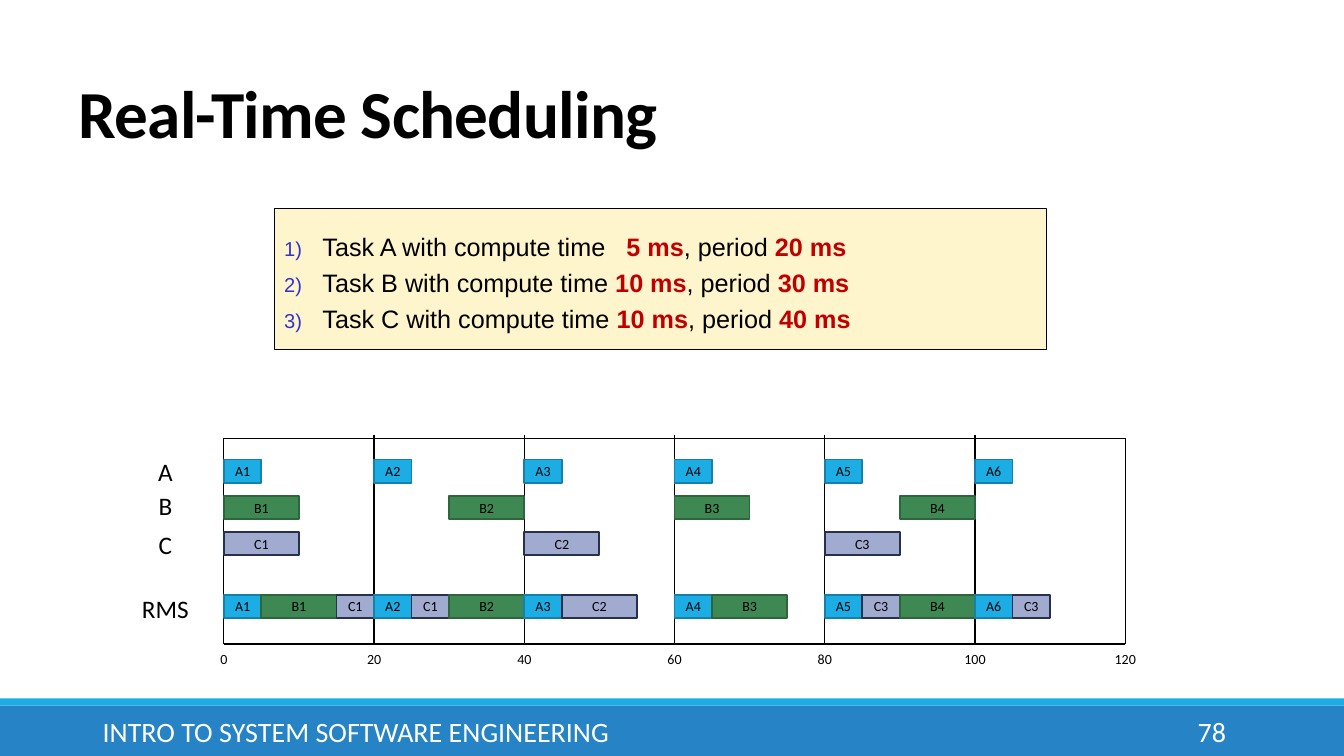
import pptx
import pptx.util
import pptx.dml.color
import pptx.enum.shapes
import pptx.enum.text
import pptx.oxml.ns
import lxml.etree

Inches = pptx.util.Inches
Pt = pptx.util.Pt
ALIGN = pptx.enum.text.PP_ALIGN
ANCHOR = pptx.enum.text.MSO_ANCHOR

COLORS = {
    "black": "000000", "white": "FFFFFF", "footer": "2683C6", "stripe": "1CADE4",
    "panel": "FFF5CC", "number": "3333CC", "accent": "C00000",
    "A": "1CADE4", "A edge": "1580A9",
    "B": "3E8853", "B edge": "2E653D",
    "C": "A1ABD0", "C edge": "27304E",
}
ORIGIN, PER_MS = 2.22, 0.0745
CHART_TOP, CHART_BOTTOM = 4.35, 6.39
END_MS, TICK_MS = 120, 20
BAR_HEIGHT, RMS_TOP = 0.23, 5.9
TASKS = {
    "A": {"compute": 5, "period": 20, "top": 4.56, "label": 4.48},
    "B": {"compute": 10, "period": 30, "top": 4.92, "label": 4.82},
    "C": {"compute": 10, "period": 40, "top": 5.28, "label": 5.2},
}
RMS_RUNS = [
    ("A1", 0, 5), ("B1", 5, 10), ("C1", 15, 5), ("A2", 20, 5), ("C1", 25, 5),
    ("B2", 30, 10), ("A3", 40, 5), ("C2", 45, 10), ("A4", 60, 5), ("B3", 65, 10),
    ("A5", 80, 5), ("C3", 85, 5), ("B4", 90, 10), ("A6", 100, 5), ("C3", 105, 5),
]


class SlideWriter:
    """Draws styled elements on the current slide."""

    def __init__(self, page, font="Calibri"):
        self.page = page
        self.font = font

    def color(self, name):
        return pptx.dml.color.RGBColor.from_string(COLORS[name])

    def run(self, para, words, size, color="black", bold=False, font=None, spacing=0):
        span = para.add_run()
        span.text = words
        span.font.name = font or self.font
        span.font.size = Pt(size)
        span.font.bold = bold
        span.font.color.rgb = self.color(color)
        if spacing:
            span._r.get_or_add_rPr().set("spc", str(spacing))

    def text(self, left, top, width, height, words, size, color="black", bold=False,
             align=ALIGN.LEFT, anchor=ANCHOR.TOP, wrap=True, line_spacing=None, spacing=0):
        box = self.page.shapes.add_textbox(
            Inches(left), Inches(top), Inches(width), Inches(height))
        box.text_frame.word_wrap = wrap
        box.text_frame.vertical_anchor = anchor
        para = box.text_frame.paragraphs[0]
        para.alignment = align
        if line_spacing:
            para.line_spacing = line_spacing
        self.run(para, words, size, color, bold, spacing=spacing)

    def label(self, center, top, width, height, words, size):
        self.text(center - width / 2, top, width, height, words, size,
                  align=ALIGN.CENTER, wrap=False)

    def rectangle(self, left, top, width, height, fill, edge=None, weight=1.25):
        box = self.page.shapes.add_shape(
            pptx.enum.shapes.MSO_SHAPE.RECTANGLE,
            Inches(left), Inches(top), Inches(width), Inches(height))
        box.shadow.inherit = False
        box.fill.solid()
        box.fill.fore_color.rgb = self.color(fill)
        if edge:
            box.line.color.rgb = self.color(edge)
            box.line.width = Pt(weight)
        else:
            box.line.fill.background()
        return box

    def bar(self, name, start, length, top):
        task = name[0]
        box = self.rectangle(ORIGIN + start * PER_MS, top, length * PER_MS, BAR_HEIGHT,
                             task, task + " edge")
        frame = box.text_frame
        frame.margin_left = frame.margin_right = 0
        frame.margin_top = frame.margin_bottom = 0
        frame.vertical_anchor = ANCHOR.MIDDLE
        frame.paragraphs[0].alignment = ALIGN.CENTER
        self.run(frame.paragraphs[0], name, 10)

    def line(self, left, top, right, bottom):
        rule = self.page.shapes.add_connector(
            pptx.enum.shapes.MSO_CONNECTOR.STRAIGHT,
            Inches(left), Inches(top), Inches(right), Inches(bottom))
        rule.line.color.rgb = self.color("black")
        rule.line.width = Pt(1)
        lxml.etree.SubElement(rule._element.spPr, pptx.oxml.ns.qn("a:effectLst"))

    def number(self, para):
        properties = para._p.get_or_add_pPr()
        properties.set("marL", str(Inches(0.38)))
        properties.set("indent", str(-Inches(0.38)))
        qn = pptx.oxml.ns.qn
        tint = lxml.etree.SubElement(properties, qn("a:buClr"))
        lxml.etree.SubElement(tint, qn("a:srgbClr"), val=COLORS["number"])
        lxml.etree.SubElement(properties, qn("a:buSzPct"), val="80000")
        lxml.etree.SubElement(properties, qn("a:buFont"), typeface="Arial")
        lxml.etree.SubElement(properties, qn("a:buAutoNum"), type="arabicParenR")

    def task_list(self, left, top, width, height):
        box = self.rectangle(left, top, width, height, "panel", "black", 0.75)
        frame = box.text_frame
        frame.word_wrap = True
        frame.vertical_anchor = ANCHOR.MIDDLE
        frame.margin_top = Inches(0.11)
        for index, (name, task) in enumerate(TASKS.items()):
            para = frame.add_paragraph() if index else frame.paragraphs[0]
            self.number(para)
            para.alignment = ALIGN.LEFT
            if index:
                para.space_before = Pt(4.3)
            gap = 1000 if task["compute"] < 10 else 0
            self.run(para, f"Task {name} with compute time", 18, font="Arial")
            self.run(para, " ", 18, font="Arial", spacing=gap)
            self.run(para, f"{task['compute']} ms", 18, "accent", True, "Arial")
            self.run(para, ", period ", 18, font="Arial")
            self.run(para, f"{task['period']} ms", 18, "accent", True, "Arial")


def main():
    deck = pptx.Presentation()
    deck.slide_width, deck.slide_height = Inches(13.33), Inches(7.5)
    writer = SlideWriter(deck.slides.add_slide(deck.slide_layouts[6]))

    writer.rectangle(0, 7, 13.33, 0.5, "footer")
    writer.rectangle(0, 6.93, 13.33, 0.07, "stripe")
    writer.text(0.68, 0.71, 11, 0.85, "Real-Time Scheduling", 48, bold=True,
                anchor=ANCHOR.BOTTOM, line_spacing=0.85, spacing=-50)
    writer.text(0.92, 7.06, 8.39, 0.4, "INTRO TO SYSTEM SOFTWARE ENGINEERING", 20,
                "white", anchor=ANCHOR.MIDDLE)
    writer.text(10.83, 7.06, 1.43, 0.4, "78", 20, "white",
                align=ALIGN.RIGHT, anchor=ANCHOR.MIDDLE)
    writer.task_list(2.72, 2.07, 7.66, 1.4)

    chart_right = ORIGIN + END_MS * PER_MS
    for edge in (CHART_TOP, CHART_BOTTOM):
        writer.line(ORIGIN, edge, chart_right, edge)
    for tick in range(0, END_MS + 1, TICK_MS):
        center = ORIGIN + tick * PER_MS
        overshoot = 0.03 if 0 < tick < END_MS else 0
        writer.line(center, CHART_BOTTOM, center, CHART_TOP - overshoot)
        writer.label(center, 6.4, 0.42, 0.27, str(tick), 10)

    for name, task in TASKS.items():
        writer.label(1.64, task["label"], 0.35, 0.4, name, 18)
        for index, start in enumerate(range(0, 101, task["period"]), 1):
            writer.bar(f"{name}{index}", start, task["compute"], task["top"])
    writer.label(1.64, 5.84, 0.67, 0.4, "RMS", 18)
    for name, start, length in RMS_RUNS:
        writer.bar(name, start, length, RMS_TOP)

    deck.save("out.pptx")


if __name__ == "__main__":
    main()
